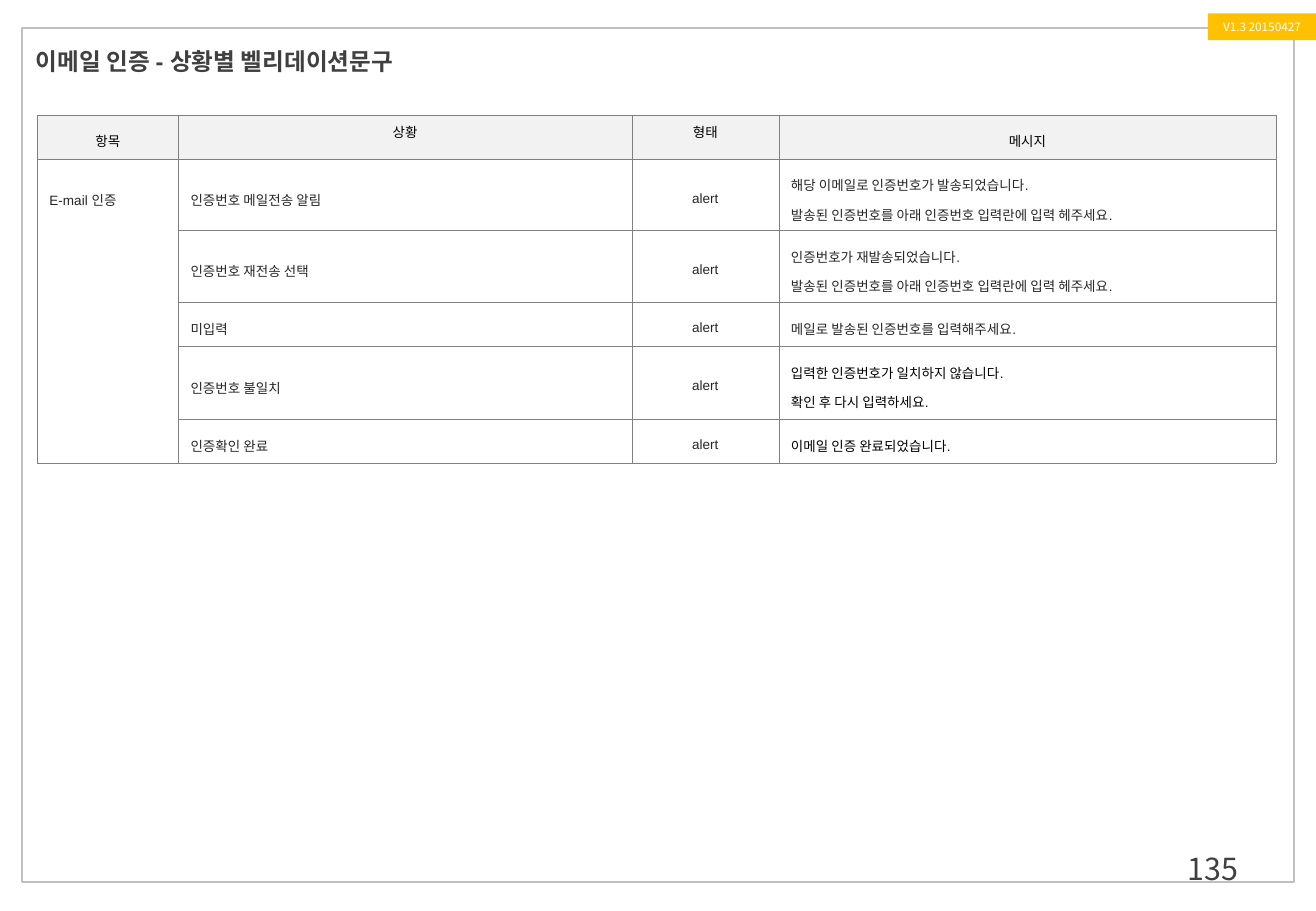
import pptx
import pptx.util
import pptx.dml.color
import pptx.oxml
import pptx.oxml.ns
import lxml.etree
from dataclasses import dataclass
from pptx.enum.shapes import MSO_SHAPE
from pptx.enum.text import MSO_ANCHOR, PP_ALIGN

Cm = pptx.util.Cm
Pt = pptx.util.Pt
qn = pptx.oxml.ns.qn


@dataclass(frozen=True)
class Theme:
    # Fonts
    latin: str = "Arial"
    hangul: str = "Noto Sans CJK KR"
    # Colours
    black: str = "000000"
    ink: str = "262626"
    dark: str = "404040"
    rule: str = "808080"
    frame: str = "BFBFBF"
    head: str = "F2F2F2"
    white: str = "FFFFFF"
    amber: str = "FFC000"
    # Type sizes and line widths
    title: float = 14
    page: float = 18
    badge: float = 7
    body: float = 8
    thin: float = 0.25
    edge: float = 1


THEME = Theme()

HEADS = [("항목", THEME.latin, 1.5), ("상황", THEME.hangul, 1),
         ("형태", THEME.hangul, 1), ("메시지", THEME.latin, 1.5)]
RESEND = "발송된 인증번호를 아래 인증번호 입력란에 입력 헤주세요."
# Case, message lines, message colour
CASES = [
    ("인증번호 메일전송 알림", ["해당 이메일로 인증번호가 발송되었습니다.", RESEND], THEME.ink),
    ("인증번호 재전송 선택", ["인증번호가 재발송되었습니다.", RESEND], THEME.ink),
    ("미입력", ["메일로 발송된 인증번호를 입력해주세요."], THEME.ink),
    ("인증번호 불일치", ["입력한 인증번호가 일치하지 않습니다.", "확인 후 다시 입력하세요."], THEME.black),
    ("인증확인 완료", ["이메일 인증 완료되었습니다."], THEME.black),
]
WIDTHS = [2.95, 9.48, 3.07, 10.4]
HEIGHTS = [0.92, 1.49, 1.49, 0.92, 1.53, 0.92]


def rgb(code):
    return pptx.dml.color.RGBColor.from_string(code)


def add_run(para, text, size, color, font=THEME.latin, bold=False):
    run = para.add_run()
    run.text = text
    run.font.size = Pt(size)
    run.font.bold = bold
    run.font.name = font
    run.font.color.rgb = rgb(color)
    props = run._r.get_or_add_rPr()
    lxml.etree.SubElement(props, qn("a:ea")).set("typeface", THEME.hangul)


def add_box(slide, left, top, width, height, fill=None, line=None):
    box = slide.shapes.add_shape(MSO_SHAPE.RECTANGLE, Cm(left), Cm(top), Cm(width), Cm(height))
    box.shadow.inherit = False
    if fill:
        box.fill.solid()
        box.fill.fore_color.rgb = rgb(fill)
    else:
        box.fill.background()
    if line:
        box.line.color.rgb = rgb(line)
        box.line.width = Pt(THEME.edge)
    else:
        box.line.fill.background()
    return box


def add_label(slide, left, top, width, height, anchor, align):
    frame = slide.shapes.add_textbox(Cm(left), Cm(top), Cm(width), Cm(height)).text_frame
    frame.word_wrap = True
    frame.vertical_anchor = anchor
    para = frame.paragraphs[0]
    para.alignment = align
    return para


def set_rules(cell, sides):
    """Draw the given sides of a cell and hide the rest."""
    props = cell._tc.get_or_add_tcPr()
    for spot, side in enumerate("LRTB"):
        line = lxml.etree.Element(qn("a:ln" + side), w=str(Pt(THEME.thin)))
        if side in sides:
            fill = lxml.etree.SubElement(line, qn("a:solidFill"))
            lxml.etree.SubElement(fill, qn("a:srgbClr")).set("val", THEME.rule)
        else:
            lxml.etree.SubElement(line, qn("a:noFill"))
        props.insert(spot, line)


def fill_cell(cell, lines, color=THEME.ink, font=THEME.latin, align=PP_ALIGN.LEFT,
              space=1.5, anchor=MSO_ANCHOR.MIDDLE, back=THEME.white, sides="LRTB"):
    cell.fill.solid()
    cell.fill.fore_color.rgb = rgb(back)
    cell.vertical_anchor = anchor
    set_rules(cell, sides)
    frame = cell.text_frame
    for spot, text in enumerate(lines):
        para = frame.add_paragraph() if spot else frame.paragraphs[0]
        para.alignment = align
        para.line_spacing = space
        add_run(para, text, THEME.body, color, font)
    if not lines:
        # Keep an empty cell from stretching its row
        end = lxml.etree.SubElement(frame.paragraphs[0]._p, qn("a:endParaRPr"))
        end.set("sz", str(int(THEME.body * 100)))


def add_grid(slide):
    table = slide.shapes.add_table(len(HEIGHTS), len(WIDTHS), Cm(0.78), Cm(2.41),
                                   Cm(sum(WIDTHS)), Cm(sum(HEIGHTS))).table
    table.first_row = False
    table.horz_banding = False
    for col, width in zip(table.columns, WIDTHS):
        col.width = Cm(width)
    for row, height in zip(table.rows, HEIGHTS):
        row.height = Cm(height)

    # Header row
    for col, (text, font, space) in enumerate(HEADS):
        fill_cell(table.cell(0, col), [text], THEME.black, font, PP_ALIGN.CENTER,
                  space, MSO_ANCHOR.TOP, THEME.head)

    # Case rows, with an open first column
    for row, (case, lines, color) in enumerate(CASES, 1):
        first, last = row == 1, row == len(CASES)
        sides = "LR" + "T" * first + "B" * last
        fill_cell(table.cell(row, 0), ["E-mail 인증"] if first else [], sides=sides)
        fill_cell(table.cell(row, 1), [case])
        fill_cell(table.cell(row, 2), ["alert"], align=PP_ALIGN.CENTER)
        fill_cell(table.cell(row, 3), lines, color)


def main():
    deck = pptx.Presentation()
    deck.slide_width, deck.slide_height = Cm(27.51), Cm(19.05)
    slide = deck.slides.add_slide(deck.slide_layouts[6])

    # Page frame and number
    add_box(slide, 0.46, 0.58, 26.59, 17.86, line=THEME.frame)
    page = add_label(slide, 19.71, 17.65, 6.43, 1.02, MSO_ANCHOR.TOP, PP_ALIGN.RIGHT)
    add_run(page, "135", THEME.page, THEME.dark, THEME.hangul)

    # Version badge
    badge = add_box(slide, 25.25, 0.28, 2.26, 0.56, fill=THEME.amber).text_frame
    badge.word_wrap = False
    badge.vertical_anchor = MSO_ANCHOR.MIDDLE
    badge.paragraphs[0].alignment = PP_ALIGN.CENTER
    add_run(badge.paragraphs[0], "V1.3 20150427", THEME.badge, THEME.white, THEME.hangul)

    # Message table
    add_grid(slide)

    # Title
    title = add_label(slide, 0.5, 0.61, 11.51, 1.35, MSO_ANCHOR.MIDDLE, PP_ALIGN.LEFT)
    add_run(title, "이메일 인증 - 상황별 벨리데이션문구", THEME.title, THEME.dark, bold=True)

    deck.save("out.pptx")


if __name__ == "__main__":
    main()
